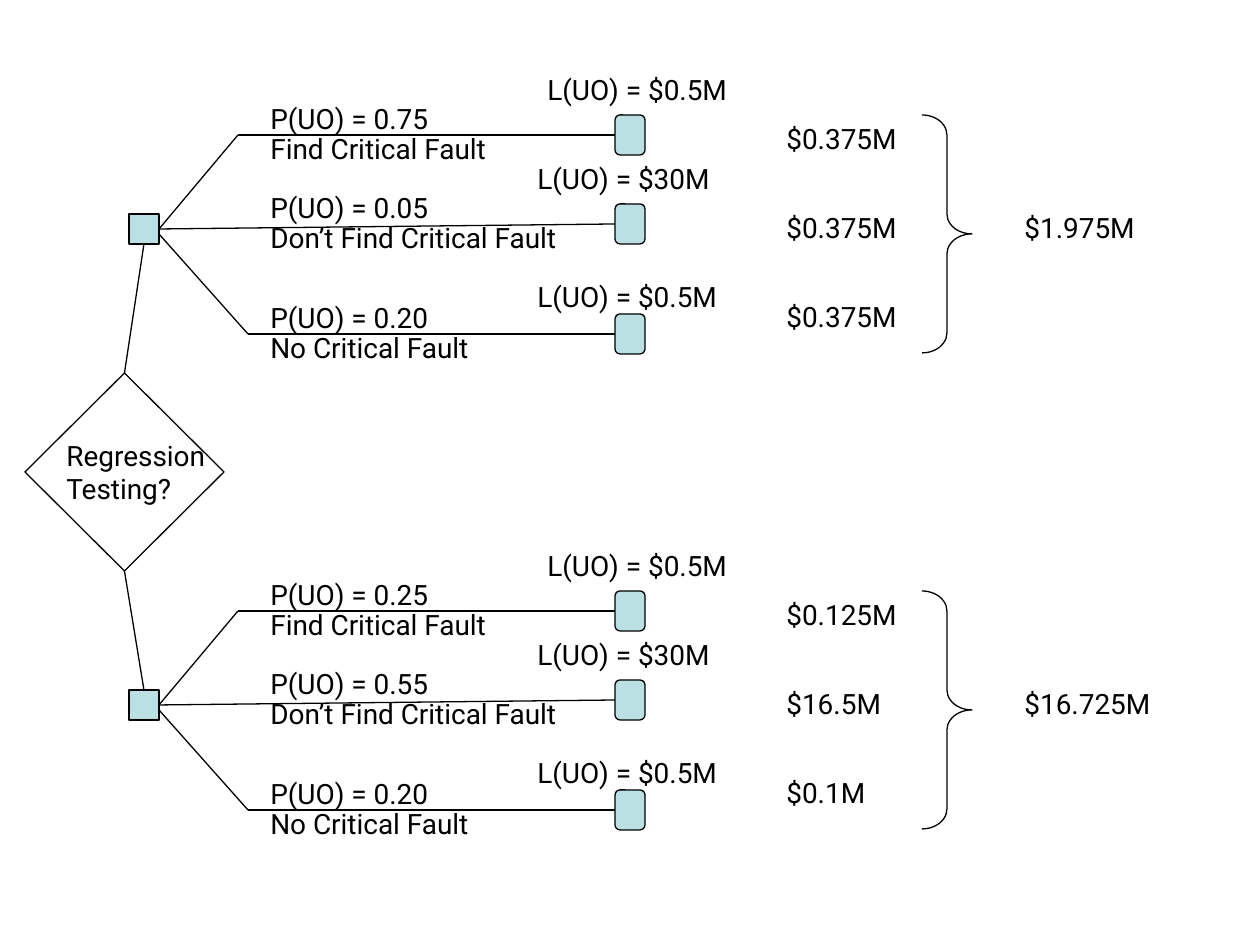
"""Builds a decision tree slide weighing the cost of regression testing."""
from lxml import etree
from pptx import Presentation, util as u
from pptx.dml.color import RGBColor
from pptx.enum import shapes, text
from pptx.oxml.ns import qn

BLACK = RGBColor(0x00, 0x00, 0x00)
AQUA = RGBColor(0xBB, 0xE0, 0xE3)
FONT = "Roboto"
PX = 914400 / 126

QUESTION = "Regression Testing?"
OUTCOMES = ["Find Critical Fault", "Don’t Find Critical Fault", "No Critical Fault"]
LOSSES = ["L(UO) = $0.5M", "L(UO) = $30M", "L(UO) = $0.5M"]
CHOICES = [
    {"odds": ["0.75", "0.05", "0.20"],
     "costs": ["$0.375M", "$0.375M", "$0.375M"], "total": "$1.975M"},
    {"odds": ["0.25", "0.55", "0.20"],
     "costs": ["$0.125M", "$16.5M", "$0.1M"], "total": "$16.725M"},
]

CHOICE_PITCH = 476
COST_PITCH = 89
NODE_X, NODE_W, NODE_H = 615, 30, 40
NODE_TOPS = [115, 204, 314]
LOSS_SPOTS = [(535, 66), (525, 155), (525, 273)]
BENDS = [238, None, 248]
FORK_X, FORK_TOP, FORK_SIZE = 129, 214, 30
LABEL_H = 47


def emu(*lengths):
    return [u.Emu(round(length * PX)) for length in lengths]


def add_label(slide, wording, x, y, width, height=LABEL_H):
    label = slide.shapes.add_textbox(*emu(x, y, width, height))
    frame = label.text_frame
    frame.word_wrap = True
    frame.auto_size = text.MSO_AUTO_SIZE.SHAPE_TO_FIT_TEXT
    frame.text = wording
    font = frame.paragraphs[0].runs[0].font
    font.name, font.size = FONT, u.Pt(16)
    font.color.rgb = BLACK


def add_outline(slide, preset, box, fill=None):
    outline = slide.shapes.add_shape(preset, *emu(*box))
    outline.shadow.inherit = False
    if fill is None:
        outline.fill.background()
    else:
        outline.fill.solid()
        outline.fill.fore_color.rgb = fill
    outline.line.color.rgb = BLACK
    outline.line.width = u.Pt(0.75)
    return outline


def add_branch(slide, start, end, source=None, target=None):
    branch = slide.shapes.add_connector(
        shapes.MSO_CONNECTOR.STRAIGHT, *emu(*start, *end))
    branch.line.color.rgb = BLACK
    branch.line.width = u.Pt(0.75)
    etree.SubElement(branch._element.spPr, qn("a:effectLst"))
    if source:
        branch.begin_connect(*source)
    if target:
        branch.end_connect(*target)


def add_choice(slide, choice, shift):
    fork_top = FORK_TOP + shift
    fork_right, fork_mid = FORK_X + FORK_SIZE, fork_top + FORK_SIZE / 2
    fork = add_outline(slide, shapes.MSO_SHAPE.RECTANGLE,
                       (FORK_X, fork_top, FORK_SIZE, FORK_SIZE), AQUA)
    for i, (outcome, loss, odds, cost) in enumerate(
            zip(OUTCOMES, LOSSES, choice["odds"], choice["costs"])):
        top = NODE_TOPS[i] + shift
        node = add_outline(slide, shapes.MSO_SHAPE.ROUNDED_RECTANGLE,
                           (NODE_X, top, NODE_W, NODE_H), AQUA)
        is_last = i == len(OUTCOMES) - 1
        start = (fork_right, fork_mid + 5 if is_last else fork_mid)
        source = None if is_last else (fork, 3)
        end = (NODE_X, top + NODE_H / 2)
        if BENDS[i]:
            bend = (BENDS[i], end[1])
            add_branch(slide, start, bend, source)
            add_branch(slide, bend, end, target=(node, 1))
        else:
            add_branch(slide, start, end, source, (node, 1))
        add_label(slide, outcome, 258, top + 10, 328)
        add_label(slide, f"P(UO) = {odds}", 258, top - 20, 328)
        loss_x, loss_y = LOSS_SPOTS[i]
        add_label(slide, loss, loss_x, loss_y + shift, 228)
        add_label(slide, cost, 774, NODE_TOPS[0] + i * COST_PITCH + shift, 159)
    brace = add_outline(slide, shapes.MSO_SHAPE.RIGHT_BRACE,
                        (922, NODE_TOPS[0] + shift, 50, 238))
    brace.adjustments[0] = 0.4
    add_label(slide, choice["total"], 1012, NODE_TOPS[1] + shift, 159)
    return fork


def main():
    deck = Presentation()
    deck.slide_width, deck.slide_height = emu(1260, 945)
    slide = deck.slides.add_slide(deck.slide_layouts[6])
    question = add_outline(slide, shapes.MSO_SHAPE.DIAMOND, (25, 373, 199, 198))
    add_label(slide, QUESTION, 54, 432, 169, 81)
    forks = [add_choice(slide, choice, i * CHOICE_PITCH)
             for i, choice in enumerate(CHOICES)]
    add_branch(slide, (144, 244), (124, 373), (forks[0], 2), (question, 0))
    add_branch(slide, (144, 690), (124, 571), (forks[1], 0), (question, 2))
    deck.save("out.pptx")


if __name__ == "__main__":
    main()
